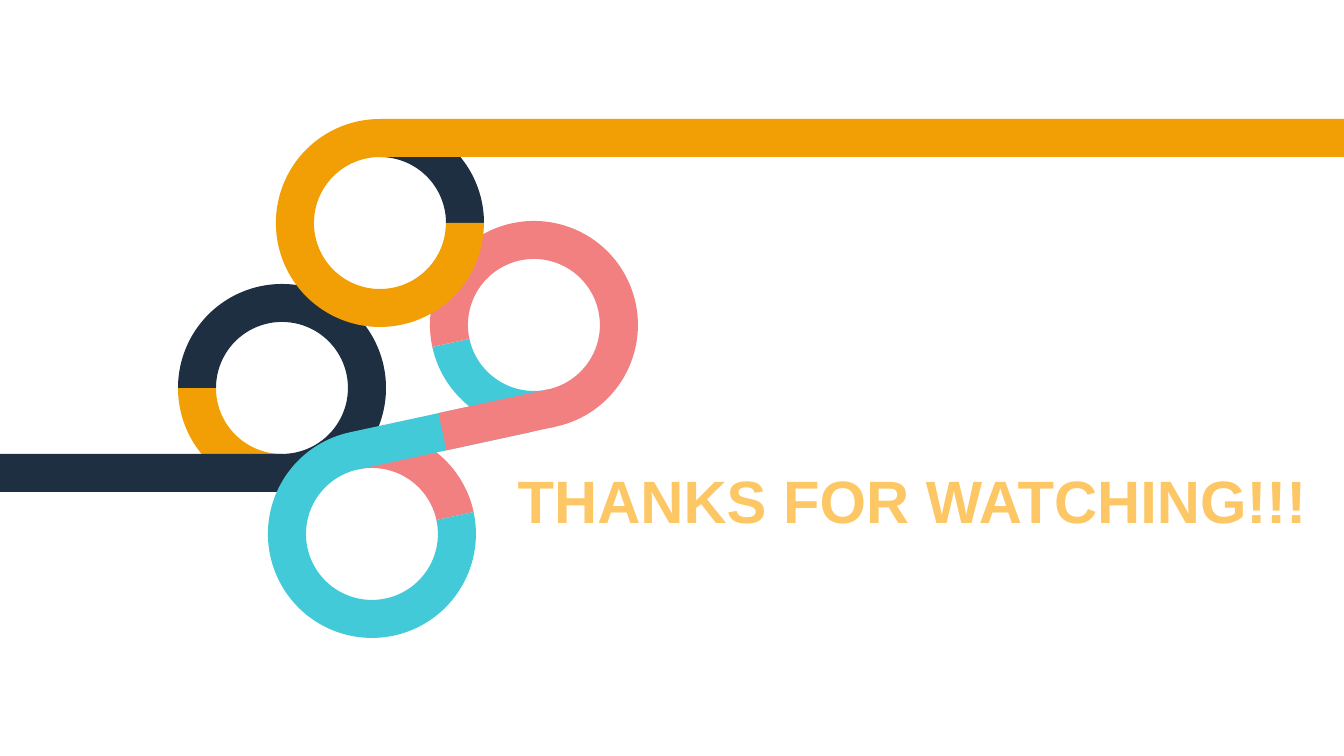
import math
import pptx
import pptx.util
import pptx.dml.color
import pptx.enum.shapes
import pptx.enum.text
import pptx.oxml
import pptx.oxml.ns

WIDE, HIGH = 1344, 756
UNIT = pptx.util.Inches(10) / WIDE
COLORS = {"navy": "1D2F40", "amber": "F29F05", "pink": "F28080",
          "cyan": "43CAD9", "title": "FCC764"}
OUTER, INNER = 104, 66
TILT = -12.2

# Centre x, centre y, start angle, tail length, tilt, hook colour, back colour
LOOPS = {
    "navy": (282, 388, 180, 282, 0, "navy", "amber"),
    "cyan": (372, 534, 0, 179, TILT, "cyan", "pink"),
    "pink": (534, 325, 180, 112, TILT, "pink", "cyan"),
    "amber": (380, 223, 0, 292, 0, "amber", "navy"),
}


def px(n):
    return pptx.util.Emu(round(n * UNIT))


def rgb(name):
    return pptx.dml.color.RGBColor.from_string(COLORS[name])


def paint(shape, color):
    shape.shadow.inherit = False
    shape.fill.solid()
    shape.fill.fore_color.rgb = rgb(color)
    shape.line.fill.background()


def spot(x, y, radius, angle, tail=0):
    """Point on a circle, moved along its tangent by the tail."""
    a = math.radians(angle)
    return (px(x + radius * math.cos(a) - tail * math.sin(a)),
            px(y + radius * math.sin(a) + tail * math.cos(a)))


def bend(lines, radius, start, sweep):
    """Put one true arc in place of a run of straight lines."""
    curve = pptx.oxml.parse_xml(
        f'<a:arcTo {pptx.oxml.ns.nsdecls("a")} wR="{px(radius)}" hR="{px(radius)}"'
        f' stAng="{start % 360 * 60000}" swAng="{sweep * 60000}"/>')
    lines[0].addprevious(curve)
    for line in lines:
        line.getparent().remove(line)


def turn(shape, x, y, angle):
    """Rotate a shape about the point x, y."""
    a = math.radians(angle)
    dx = shape.left + shape.width / 2 - px(x)
    dy = shape.top + shape.height / 2 - px(y)
    shape.left += round(dx * math.cos(a) - dy * math.sin(a) - dx)
    shape.top += round(dx * math.sin(a) + dy * math.cos(a) - dy)
    shape.rotation = angle


def band(slide, x, y, start, end, tail, tilt, color):
    """Part of a ring, with a straight tail leaving its end."""
    angles = range(start, end + 1, 90)
    points = [spot(x, y, OUTER, a) for a in angles]
    if tail:
        points += [spot(x, y, r, end, tail) for r in (OUTER, INNER)]
    points += [spot(x, y, INNER, a) for a in reversed(angles)]
    pen = slide.shapes.build_freeform(*points[0])
    pen.add_line_segments(points[1:], close=True)
    shape = pen.convert_to_shape()

    # Round the outer and inner edges
    lines = list(shape.element.iter(pptx.oxml.ns.qn("a:lnTo")))
    count = len(angles) - 1
    bend(lines[:count], OUTER, start, end - start)
    bend(lines[-count:], INNER, end, start - end)
    paint(shape, color)
    if tilt:
        turn(shape, x, y, tilt)


def loops(slide):
    # Back quarters lie below all hooks
    for x, y, start, tail, tilt, front, back in LOOPS.values():
        band(slide, x, y, start - 90, start, 0, tilt, back)
    for x, y, start, tail, tilt, front, back in LOOPS.values():
        band(slide, x, y, start, start + 270, tail, tilt, front)


def strip(slide, left, top, width, height):
    shape = slide.shapes.add_shape(
        pptx.enum.shapes.MSO_SHAPE.RECTANGLE,
        px(left), px(top), px(width), px(height))
    paint(shape, "amber")


def title(slide, left, top, width, height):
    shape = slide.shapes.title
    box = {"left": left, "top": top, "width": width, "height": height}
    for key, value in box.items():
        setattr(shape, key, px(value))
    frame = shape.text_frame
    frame.text = "THANKS FOR WATCHING!!!"
    inset = pptx.util.Inches(0.1)
    look = {"word_wrap": True,
            "vertical_anchor": pptx.enum.text.MSO_ANCHOR.BOTTOM,
            "auto_size": pptx.enum.text.MSO_AUTO_SIZE.NONE,
            "margin_left": inset, "margin_right": inset,
            "margin_top": inset, "margin_bottom": inset}
    for key, value in look.items():
        setattr(frame, key, value)
    line = frame.paragraphs[0]
    line.alignment = pptx.enum.text.PP_ALIGN.CENTER
    line.line_spacing = 0.9
    font = line.runs[0].font
    style = {"name": "Arial", "size": pptx.util.Pt(32), "bold": True}
    for key, value in style.items():
        setattr(font, key, value)
    font.color.rgb = rgb("title")


def main():
    deck = pptx.Presentation()
    deck.slide_width, deck.slide_height = px(WIDE), px(HIGH)
    slide = deck.slides.add_slide(deck.slide_layouts[5])
    title(slide, 493, 457, 839, 93)
    loops(slide)
    # The amber tail runs on to the right edge
    strip(slide, WIDE // 2, 223 - OUTER, WIDE // 2, OUTER - INNER)
    deck.save("out.pptx")


if __name__ == "__main__":
    main()
